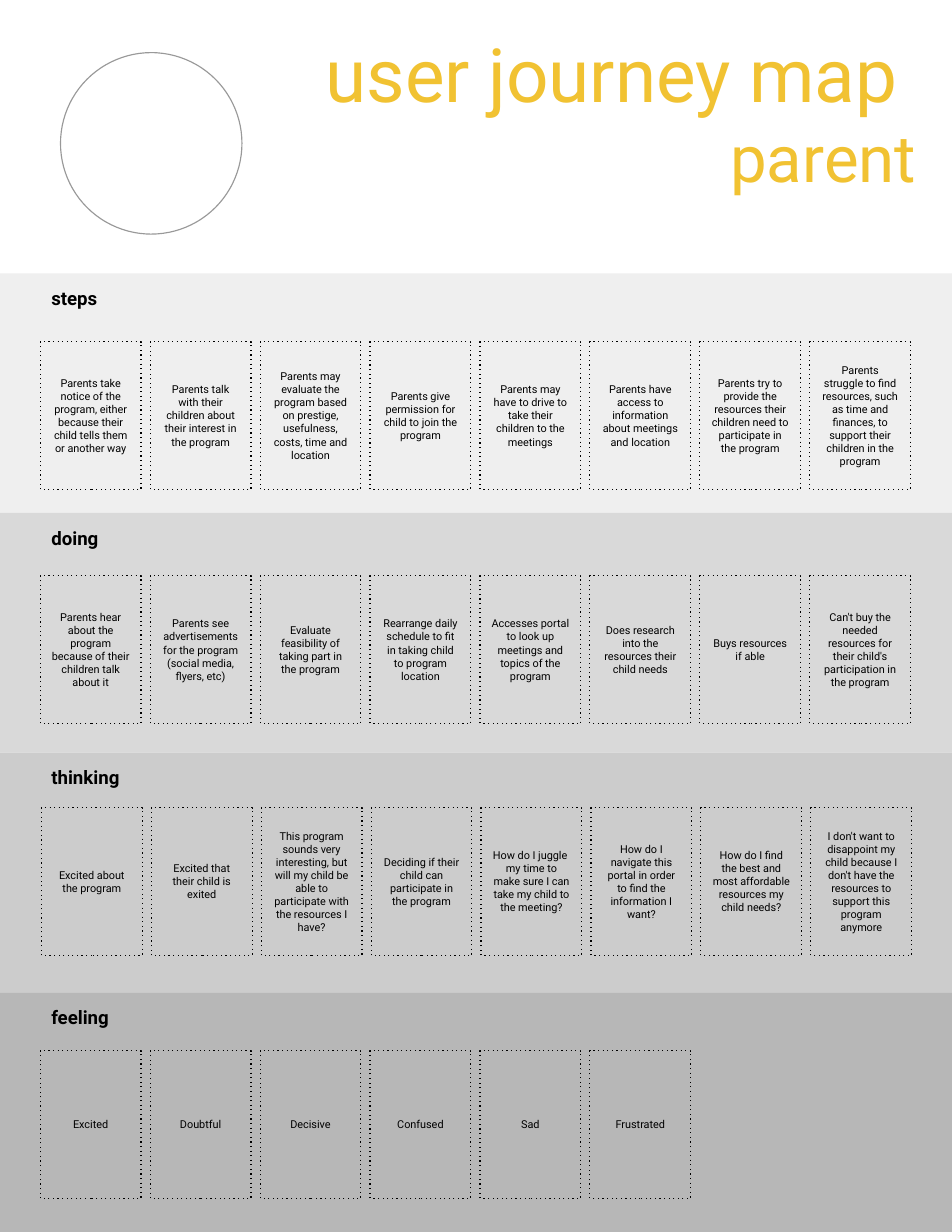
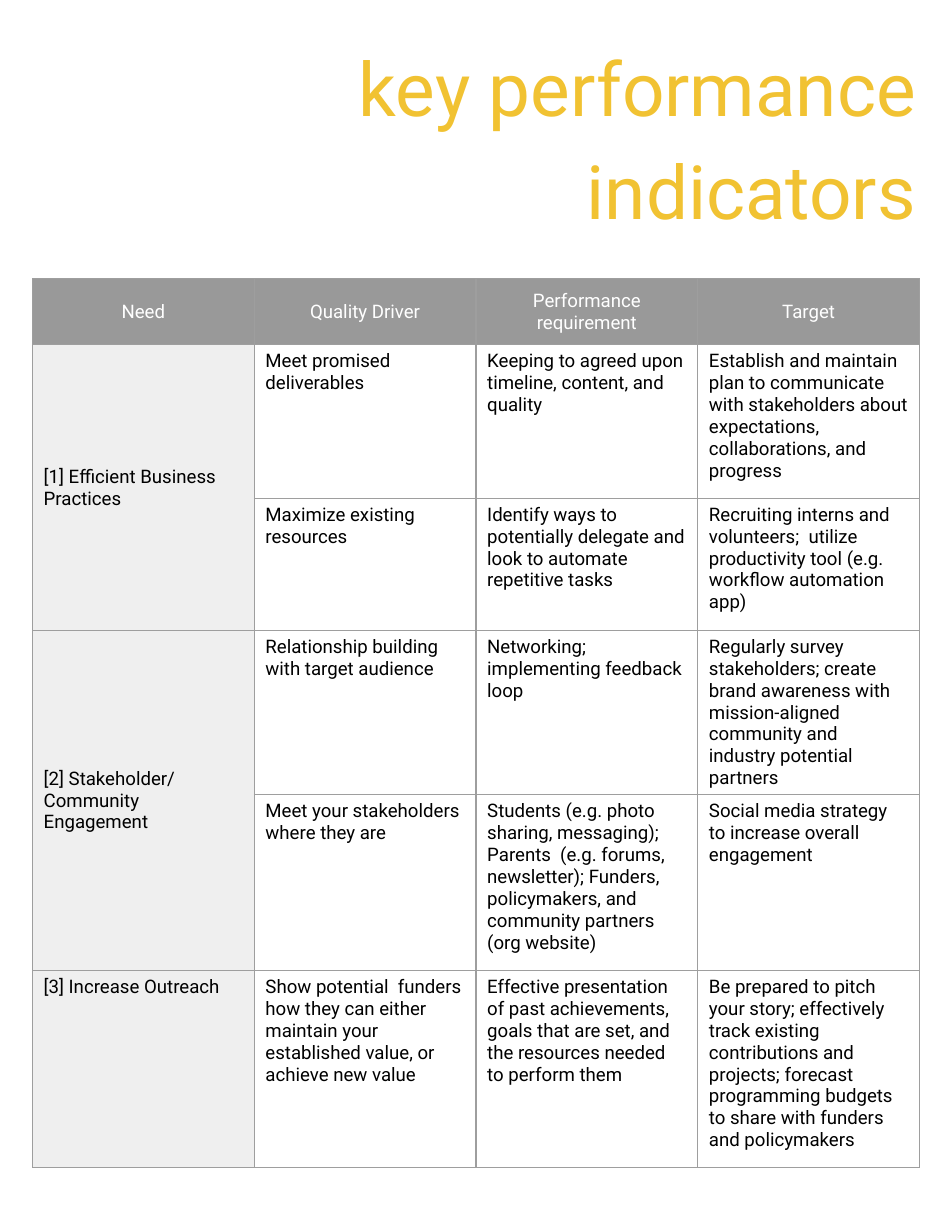
from lxml.etree import SubElement
from pptx import Presentation
from pptx.dml.color import RGBColor
from pptx.enum.shapes import MSO_SHAPE
from pptx.enum.text import MSO_ANCHOR, MSO_AUTO_SIZE, PP_ALIGN
from pptx.oxml.ns import qn
from pptx.util import Inches, Pt

FONT = "Roboto"
YELLOW, BLACK, WHITE = "F1C232", "000000", "FFFFFF"
GRAY, LIGHT, BORDER = "999999", "EFEFEF", "9E9E9E"


def rgb(color):
    return RGBColor.from_string(color)


def write(tf, text, sizes, color, align=PP_ALIGN.LEFT, inset=0.1):
    """Fill a text frame; sizes holds one size per paragraph or a single one."""
    tf.text = text
    tf.word_wrap = True
    if inset is not None:
        tf.margin_left = tf.margin_right = Inches(inset)
        tf.margin_top = tf.margin_bottom = Inches(inset)
    for i, p in enumerate(tf.paragraphs):
        p.alignment = align
        p.font.name = FONT
        p.font.size = Pt(sizes[min(i, len(sizes) - 1)])
        p.font.color.rgb = rgb(color)


prs = Presentation()
prs.slide_width, prs.slide_height = Inches(8.5), Inches(11)

# Titles, placed alike on both slides
titles = [("user journey map \nparent", [48, 42], 1.0),
          ("key performance indicators", [48], 1.15)]
for text, sizes, spacing in titles:
    s = prs.slides.add_slide(prs.slide_layouts[5])
    title = s.shapes.title
    title.left, title.top = Inches(0.36), Inches(0.15)
    title.width, title.height = Inches(7.92), Inches(1.11)
    tf = title.text_frame
    tf.auto_size = MSO_AUTO_SIZE.NONE
    tf.vertical_anchor = MSO_ANCHOR.TOP
    write(tf, text, sizes, YELLOW, PP_ALIGN.RIGHT)
    for p in tf.paragraphs:
        p.line_spacing = spacing
journey, kpi = prs.slides

# Slide 1: portrait circle
sp = journey.shapes.add_shape(MSO_SHAPE.OVAL, Inches(0.54), Inches(0.47),
                              Inches(1.62), Inches(1.62))
sp.shadow.inherit = False
sp.fill.background()
sp.line.color.rgb = rgb(GRAY)
sp.line.width = Pt(0.75)

# Slide 1: stages as (label, band colour, left and top of cards, cards)
stages = [
    ("steps", LIGHT, 0.36, 3.05, [
        "Parents take notice of the program, either because their child tells them or another way",
        "Parents talk with their children about their interest in the program",
        "Parents may evaluate the program based on prestige, usefulness, costs, time and location",
        "Parents give permission for child to join the program",
        "Parents may have to drive to take their children to the meetings",
        "Parents have access to information about meetings and location",
        "Parents try to provide the resources their children need to participate in the program",
        "Parents struggle to find resources, such as time and finances, to support their children in the program",
    ]),
    ("doing", "D9D9D9", 0.36, 5.14, [
        "Parents hear about the program because of their children talk about it",
        "Parents see advertisements for the program (social media, flyers, etc)",
        "Evaluate feasibility of taking part in the program",
        "Rearrange daily schedule to fit in taking child to program location",
        "Accesses portal to look up meetings and topics of the program",
        "Does research into the resources their child needs",
        "Buys resources if able",
        "Can't buy the needed resources for their child's participation in the program",
    ]),
    ("thinking", "CCCCCC", 0.37, 7.21, [
        "Excited about the program",
        "Excited that their child is exited",
        "This program sounds very interesting, but will my child be able to participate with the resources I have?",
        "Deciding if their child can participate in the program",
        "How do I juggle  my time to make sure I can take my child to the meeting?",
        "How do I navigate this portal in order to find the information I want?",
        "How do I find the best and most affordable resources my child needs?",
        "I don't want to disappoint my child because I don't have the resources to support this program anymore",
    ]),
    ("feeling", "B7B7B7", 0.36, 9.38, [
        "Excited", "Doubtful", "Decisive", "Confused", "Sad", "Frustrated",
    ]),
]
BAND_TOP, BAND_HEIGHT = 2.44, 2.14
CARD_PITCH = 6.87 / 7

for row, (label, color, left, top, cards) in enumerate(stages):
    band_top = Inches(BAND_TOP + row * BAND_HEIGHT)
    band = journey.shapes.add_shape(MSO_SHAPE.RECTANGLE, 0, band_top,
                                    prs.slide_width, Inches(BAND_HEIGHT))
    band.shadow.inherit = False
    band.fill.solid()
    band.fill.fore_color.rgb = rgb(color)
    band.line.fill.background()

    tb = journey.shapes.add_textbox(Inches(0.36), band_top, Inches(1.57), Inches(0.41))
    tb.text_frame.vertical_anchor = MSO_ANCHOR.MIDDLE
    write(tb.text_frame, label, [12], BLACK)
    p = tb.text_frame.paragraphs[0]
    p.font.bold = True
    p.line_spacing = 1.15

    for col, text in enumerate(cards):
        card = journey.shapes.add_shape(
            MSO_SHAPE.RECTANGLE, Inches(left + col * CARD_PITCH), Inches(top),
            Inches(0.9), Inches(1.32))
        card.shadow.inherit = False
        card.fill.background()
        card.line.color.rgb = rgb(BLACK)
        card.line.width = Pt(0.75)
        SubElement(card.line._get_or_add_ln(), qn("a:prstDash"), val="dot")
        card.text_frame.vertical_anchor = MSO_ANCHOR.MIDDLE
        write(card.text_frame, text, [7], BLACK, PP_ALIGN.CENTER)

# Slide 2: indicator table; None continues the cell above
rows = [
    ["Need", "Quality Driver", "Performance requirement", "Target"],
    ["[1] Efficient Business Practices",
     "Meet promised deliverables",
     "Keeping to agreed upon timeline, content, and quality",
     "Establish and maintain plan to communicate with stakeholders about expectations, collaborations, and progress"],
    [None,
     "Maximize existing resources",
     "Identify ways to potentially delegate and look to automate repetitive tasks",
     "Recruiting interns and volunteers;  utilize productivity tool (e.g. workflow automation app)"],
    ["[2] Stakeholder/\nCommunity Engagement",
     "Relationship building with target audience",
     "Networking; implementing feedback loop",
     "Regularly survey stakeholders; create brand awareness with mission-aligned community and industry potential partners"],
    [None,
     "Meet your stakeholders where they are",
     "Students (e.g. photo sharing, messaging); Parents  (e.g. forums, newsletter); Funders, policymakers, and community partners (org website)",
     "Social media strategy to increase overall engagement"],
    ["[3] Increase Outreach",
     "Show potential  funders how they can either maintain your established value, or achieve new value",
     "Effective presentation of past achievements, goals that are set, and the resources needed to perform them",
     "Be prepared to pitch your story; effectively track existing contributions and projects; forecast programming budgets to share with funders and policymakers"],
]
heights = [0.59, 1.37, 1.18, 1.37, 1.57, 1.76]

table = kpi.shapes.add_table(len(rows), 4, Inches(0.29), Inches(2.49),
                             Inches(7.92), Inches(sum(heights))).table
table.first_row = table.horz_banding = False
for table_row, height in zip(table.rows, heights):
    table_row.height = Inches(height)

for r, row in enumerate(rows):
    for c, text in enumerate(row):
        cell = table.cell(r, c)
        # Borders come before the fill
        for side in ("a:lnL", "a:lnR", "a:lnT", "a:lnB"):
            ln = SubElement(cell._tc.get_or_add_tcPr(), qn(side), w=str(Pt(0.75)))
            SubElement(SubElement(ln, qn("a:solidFill")), qn("a:srgbClr"), val=BORDER)
        if r == 0 or c == 0:
            cell.fill.solid()
            cell.fill.fore_color.rgb = rgb(GRAY if r == 0 else LIGHT)
        else:
            cell.fill.background()
        if text is None:
            table.cell(r - 1, c).merge(cell)
            table.cell(r - 1, c).vertical_anchor = MSO_ANCHOR.MIDDLE
            continue
        header = r == 0
        cell.vertical_anchor = MSO_ANCHOR.MIDDLE if header else MSO_ANCHOR.TOP
        write(cell.text_frame, text, [12], WHITE if header else BLACK,
              PP_ALIGN.CENTER if header else PP_ALIGN.LEFT, inset=None)

prs.save("out.pptx")
